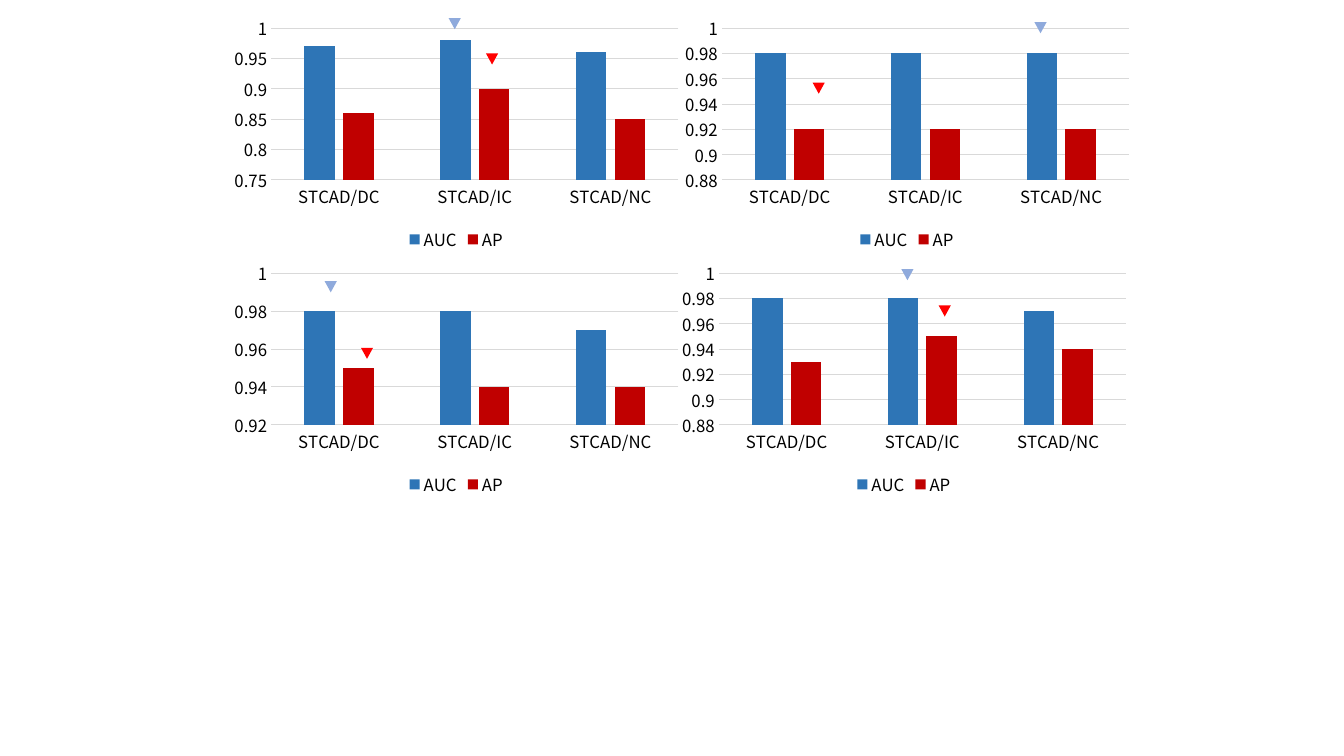
from dataclasses import dataclass
from lxml.etree import SubElement
from pptx import Presentation
from pptx.chart.data import CategoryChartData
from pptx.dml.color import RGBColor
from pptx.enum.chart import XL_CHART_TYPE, XL_LEGEND_POSITION, XL_TICK_MARK
from pptx.enum.shapes import MSO_SHAPE
from pptx.oxml.ns import qn
from pptx.util import Pt

CATS = ("STCAD/DC", "STCAD/IC", "STCAD/NC")
PANELS = [
    dict(at=(223, 11), low=0.75, step=0.05, marks=((445, 18), (482, 53)),
         vals={"AUC": (0.97, 0.98, 0.96), "AP": (0.86, 0.9, 0.85)}),
    dict(at=(223, 254), low=0.92, step=0.02, marks=((322, 279), (358, 345)),
         vals={"AUC": (0.98, 0.98, 0.97), "AP": (0.95, 0.94, 0.94)}),
    dict(at=(670, 11), low=0.88, step=0.02, marks=((1026, 22), (806, 82)),
         vals={"AUC": (0.98, 0.98, 0.98), "AP": (0.92, 0.92, 0.92)}),
    dict(at=(667, 254), low=0.88, step=0.02, marks=((894, 267), (931, 303)),
         vals={"AUC": (0.98, 0.98, 0.97), "AP": (0.93, 0.95, 0.94)}),
]
SIZE = (459, 243)
MARK = (12, 11)
PLOT = dict(x=0.1, y=0.07, w=0.88, h=0.62)


@dataclass(frozen=True)
class Theme:
    face: str = "Noto Sans CJK SC"
    base: int = 10
    label: int = 12
    ink: str = "000000"
    grid: str = "D9D9D9"
    bars: tuple = ("2E75B6", "C00000")
    marks: tuple = ("8FAADC", "FF0000")


THEME = Theme()


def px(*nums):
    return [n * 9144 for n in nums]


def paint(fill, hue):
    fill.solid()
    fill.fore_color.rgb = RGBColor.from_string(hue)


def style(font, size):
    font.name = THEME.face
    font.size = Pt(size)
    font.color.rgb = RGBColor.from_string(THEME.ink)


def rule(line):
    line.color.rgb = RGBColor.from_string(THEME.grid)
    line.width = Pt(0.75)


def place(chart):
    area = chart._chartSpace.chart.plotArea
    for old in area.findall(qn("c:layout")):
        area.remove(old)
    layout = SubElement(area, qn("c:layout"))
    area.insert(0, layout)
    box = SubElement(layout, qn("c:manualLayout"))
    SubElement(box, qn("c:layoutTarget")).set("val", "inner")
    for key in "xy":
        SubElement(box, qn(f"c:{key}Mode")).set("val", "edge")
    for key, val in PLOT.items():
        SubElement(box, qn(f"c:{key}")).set("val", str(val))


def add_bars(slide, panel):
    data = CategoryChartData()
    data.categories = CATS
    for name, vals in panel["vals"].items():
        data.add_series(name, vals)
    chart = slide.shapes.add_chart(
        XL_CHART_TYPE.COLUMN_CLUSTERED, *px(*panel["at"], *SIZE), data).chart
    style(chart.font, THEME.base)
    chart.has_title = False
    chart.has_legend = True
    chart.legend.position = XL_LEGEND_POSITION.BOTTOM
    chart.legend.include_in_layout = False
    style(chart.legend.font, THEME.label)

    plot = chart.plots[0]
    plot.vary_by_categories = False
    plot.gap_width = 219
    plot.overlap = -27
    for bars, hue in zip(plot.series, THEME.bars):
        paint(bars.format.fill, hue)

    for axis in (chart.category_axis, chart.value_axis):
        axis.major_tick_mark = axis.minor_tick_mark = XL_TICK_MARK.NONE
        style(axis.tick_labels.font, THEME.label)
    rule(chart.category_axis.format.line)
    scale = chart.value_axis
    scale.format.line.fill.background()
    scale.minimum_scale = panel["low"]
    scale.maximum_scale = 1
    scale.major_unit = panel["step"]
    scale.tick_labels.number_format = "General"
    scale.tick_labels.number_format_is_linked = False
    rule(scale.major_gridlines.format.line)
    place(chart)


def add_mark(slide, spot, hue):
    mark = slide.shapes.add_shape(
        MSO_SHAPE.ISOSCELES_TRIANGLE, *px(*spot, *MARK))
    mark.rotation = 180
    mark.shadow.inherit = False
    paint(mark.fill, hue)
    mark.line.fill.background()


def main():
    deck = Presentation()
    deck.slide_width, deck.slide_height = px(1333, 750)
    slide = deck.slides.add_slide(deck.slide_layouts[6])
    for panel in PANELS:
        add_bars(slide, panel)
        for spot, hue in zip(panel["marks"], THEME.marks):
            add_mark(slide, spot, hue)
    deck.save("out.pptx")


if __name__ == "__main__":
    main()
